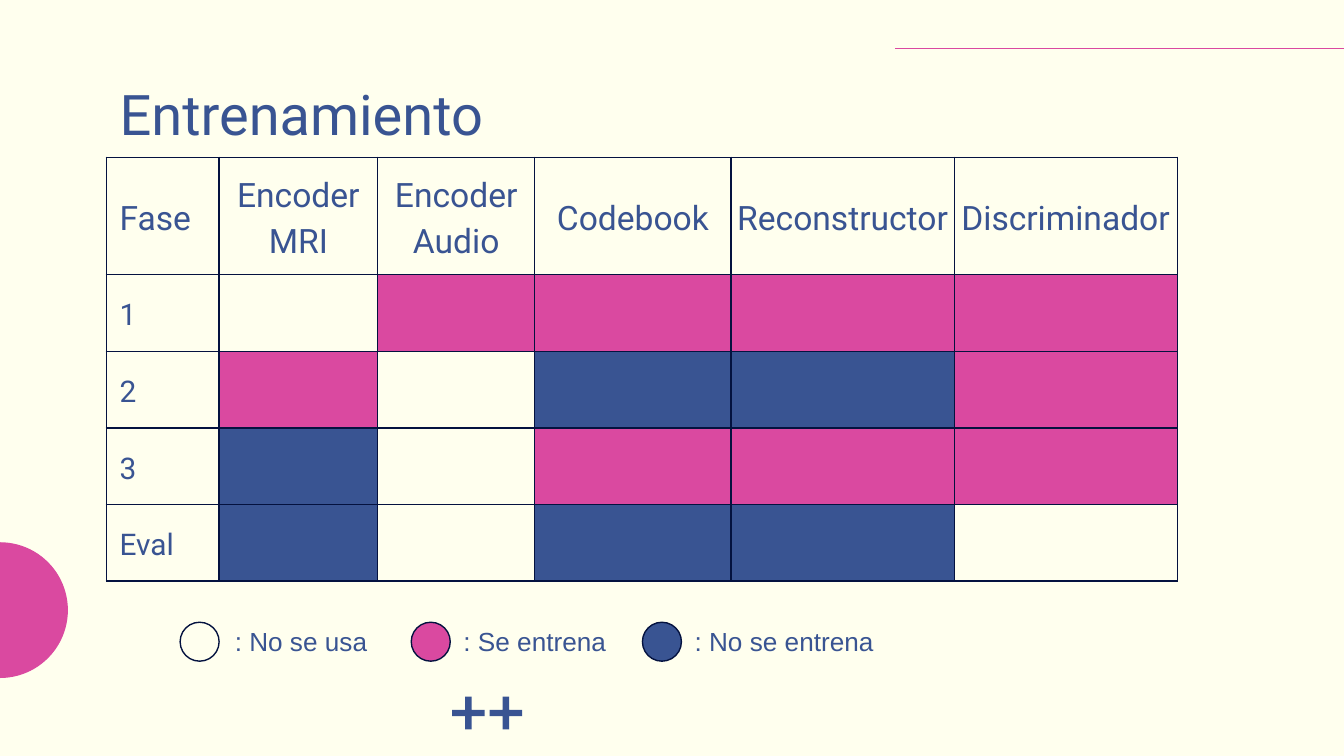
"""Build the training phases slide."""
from lxml.etree import SubElement
from pptx import Presentation
from pptx.dml.color import RGBColor
from pptx.enum.shapes import MSO_CONNECTOR as Connector, MSO_SHAPE as Shape
from pptx.enum.text import MSO_ANCHOR as Anchor, MSO_AUTO_SIZE as AutoSize, PP_ALIGN as Align
from pptx.oxml.ns import qn
from pptx.util import Inches, Pt

COLORS = {"cream": "FFFFEE", "pink": "DA49A0", "blue": "395492", "navy": "04123F"}
HEADERS = ["Fase", "Encoder MRI", "Encoder Audio", "Codebook", "Reconstructor", "Discriminador"]
COLUMN_WIDTHS = [0.84, 1.18, 1.17, 1.46, 1.66, 1.66]
ROW_HEIGHTS = [0.83] + [0.57] * 4
PHASES = {
    "1": [None, "pink", "pink", "pink", "pink"],
    "2": ["pink", None, "blue", "blue", "pink"],
    "3": ["blue", None, "pink", "pink", "pink"],
    "Eval": ["blue", None, "blue", "blue", None],
}
LEGEND = [
    ("cream", ": No se usa", 1.22, Align.CENTER),
    ("pink", ": Se entrena", 1.41, Align.LEFT),
    ("blue", ": No se entrena", 1.66, Align.LEFT),
]


def color(name):
    """Return the named colour."""
    return RGBColor.from_string(COLORS[name])


def format_text(paragraph, size, font_name="Roboto", alignment=Align.LEFT):
    """Set the alignment of a paragraph and the font of its runs."""
    paragraph.alignment = alignment
    for run in paragraph.runs:
        run.font.size = Pt(size)
        run.font.name = font_name
        run.font.bold = False
        run.font.color.rgb = color("blue")


def set_margins(holder, horizontal, vertical):
    """Set the inner margins of a cell or text frame."""
    holder.margin_left = holder.margin_right = Inches(horizontal)
    holder.margin_top = holder.margin_bottom = Inches(vertical)


def add_shape(slide, kind, left, top, size, fill, line=None):
    """Add a square-framed preset shape without shadow."""
    shape = slide.shapes.add_shape(kind, Inches(left), Inches(top), Inches(size), Inches(size))
    shape.shadow.inherit = False
    shape.fill.solid()
    shape.fill.fore_color.rgb = color(fill)
    if line:
        shape.line.color.rgb = color(line)
        shape.line.width = Pt(0.75)
    else:
        shape.line.fill.background()
    return shape


def add_decoration(slide):
    """Add the half circle, the top rule and the two plus signs."""
    add_shape(slide, Shape.OVAL, -0.5, 4.04, 1, "pink", "pink")
    rule = slide.shapes.add_connector(
        Connector.STRAIGHT, Inches(6.66), Inches(0.36), Inches(10.04), Inches(0.36))
    rule.line.color.rgb = color("pink")
    rule.line.width = Pt(0.75)
    SubElement(rule.element.spPr, qn("a:effectLst"))
    for left in (3.6, 3.32):
        plus = add_shape(slide, Shape.MATH_PLUS, left, 5.14, 0.33, "blue")
        plus.adjustments[0] = 0.144
        plus.rotation = 270


def set_title(slide, text):
    """Place and format the title placeholder."""
    title = slide.shapes.title
    title.left, title.top = Inches(0.79), Inches(0.49)
    title.width, title.height = Inches(8.43), Inches(0.63)
    frame = title.text_frame
    frame.text = text
    frame.auto_size = AutoSize.NONE
    frame.vertical_anchor = Anchor.TOP
    set_margins(frame, 0.1, 0.1)
    format_text(frame.paragraphs[0], 30)


def format_cell(cell, fill=None):
    """Draw the cell borders and set its fill."""
    properties = cell._tc.get_or_add_tcPr()
    for side in ("a:lnL", "a:lnR", "a:lnT", "a:lnB"):
        border = SubElement(properties, qn(side), w=str(Pt(0.75)))
        solid = SubElement(border, qn("a:solidFill"))
        SubElement(solid, qn("a:srgbClr"), val=COLORS["navy"])
    if fill:
        cell.fill.solid()
        cell.fill.fore_color.rgb = color(fill)
    else:
        cell.fill.background()


def write_cell(cell, text, size, margins, alignment=Align.LEFT):
    """Write vertically centred text in a cell."""
    cell.text = text
    cell.vertical_anchor = Anchor.MIDDLE
    set_margins(cell, *margins)
    paragraph = cell.text_frame.paragraphs[0]
    paragraph.line_spacing = 1.15
    format_text(paragraph, size, alignment=alignment)


def add_phase_table(slide):
    """Add the table of phases and model parts."""
    table = slide.shapes.add_table(
        len(ROW_HEIGHTS), len(COLUMN_WIDTHS), Inches(0.79), Inches(1.17),
        Inches(sum(COLUMN_WIDTHS)), Inches(sum(ROW_HEIGHTS))).table
    table.first_row = table.horz_banding = False
    for column, width in zip(table.columns, COLUMN_WIDTHS):
        column.width = Inches(width)
    for row, height in zip(table.rows, ROW_HEIGHTS):
        row.height = Inches(height)
    for index, header in enumerate(HEADERS):
        cell = table.cell(0, index)
        format_cell(cell)
        if index == 0:
            write_cell(cell, header, 18, (0.1, 0.1))
        else:
            write_cell(cell, header, 18, (0, 0.1), Align.CENTER)
    for row_index, (phase, fills) in enumerate(PHASES.items(), start=1):
        for column_index, fill in enumerate([None] + fills):
            format_cell(table.cell(row_index, column_index), fill)
        write_cell(table.cell(row_index, 0), phase, 16, (0.1, 0))


def add_legend(slide):
    """Add the evenly spaced colour key."""
    for index, (fill, text, width, alignment) in enumerate(LEGEND):
        left = 1.34 + 1.72 * index
        add_shape(slide, Shape.OVAL, left, 4.63, 0.29, fill, "navy")
        label = slide.shapes.add_textbox(
            Inches(left + 0.29), Inches(4.55), Inches(width), Inches(0.44))
        frame = label.text_frame
        frame.text = text
        frame.word_wrap = True
        frame.auto_size = AutoSize.SHAPE_TO_FIT_TEXT
        frame.vertical_anchor = Anchor.MIDDLE
        set_margins(frame, 0.1, 0.1)
        format_text(frame.paragraphs[0], 14, "Arial", alignment)


def main():
    """Build and save the presentation."""
    presentation = Presentation()
    presentation.slide_width = Inches(10)
    presentation.slide_height = Inches(10 * 9 / 16)
    slide = presentation.slides.add_slide(presentation.slide_layouts[5])
    slide.background.fill.solid()
    slide.background.fill.fore_color.rgb = color("cream")
    add_decoration(slide)
    set_title(slide, "Entrenamiento")
    add_phase_table(slide)
    add_legend(slide)
    presentation.save("out.pptx")


if __name__ == "__main__":
    main()
